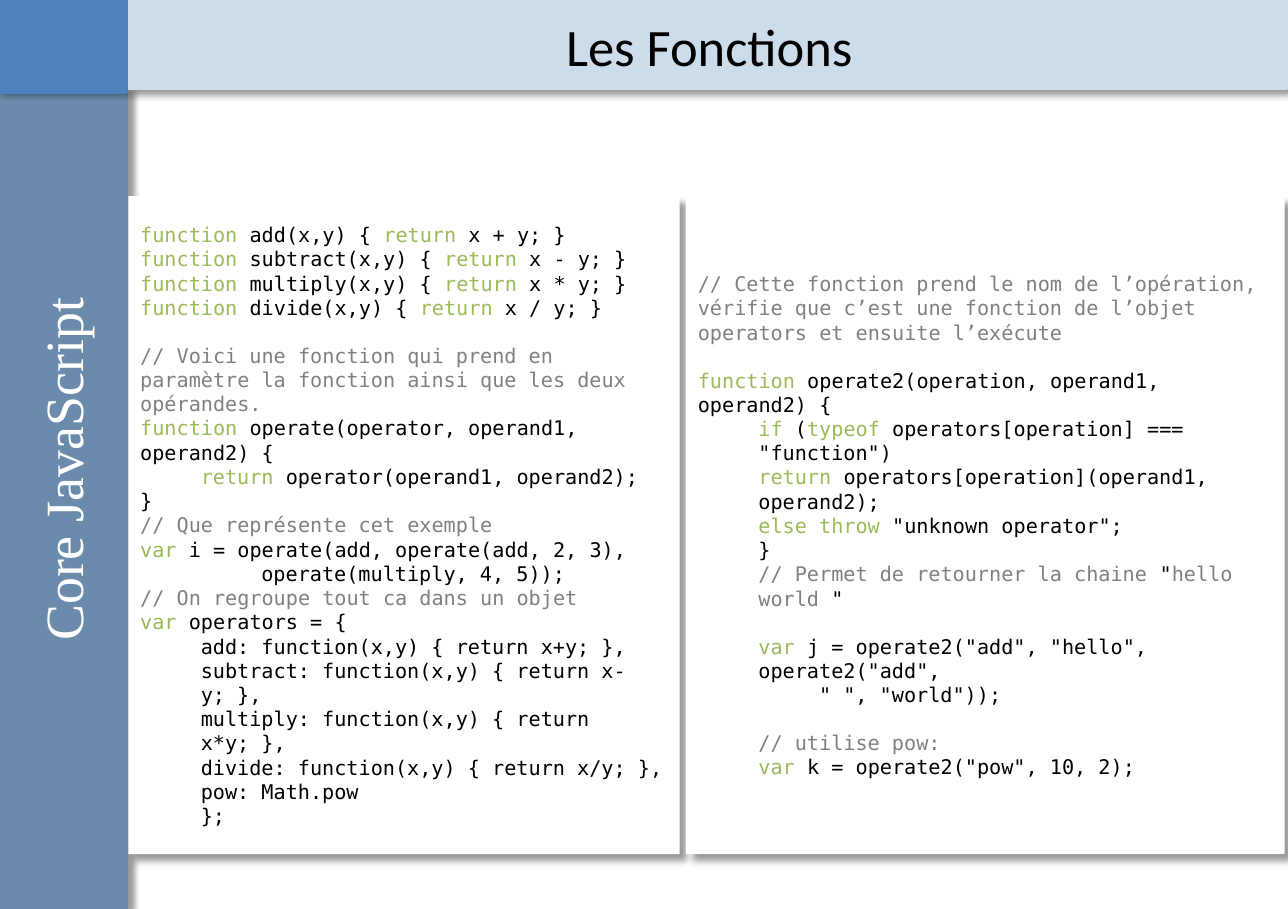
from lxml import etree
from pptx import Presentation
from pptx.dml.color import RGBColor
from pptx.enum.shapes import MSO_SHAPE
from pptx.enum.text import MSO_ANCHOR, MSO_AUTO_SIZE, PP_ALIGN
from pptx.oxml.ns import qn
from pptx.util import Cm, Pt

RECTANGLE = MSO_SHAPE.RECTANGLE
LEFT, CENTER = PP_ALIGN.LEFT, PP_ALIGN.CENTER
TOP, MIDDLE = MSO_ANCHOR.TOP, MSO_ANCHOR.MIDDLE
NO_AUTOFIT = MSO_AUTO_SIZE.NONE

BLACK = RGBColor(0x00, 0x00, 0x00)
WHITE = RGBColor(0xFF, 0xFF, 0xFF)
GREY = RGBColor(0x80, 0x80, 0x80)
GREEN = RGBColor(0x9B, 0xBB, 0x59)
STEEL = RGBColor(0x6A, 0x8B, 0xAB)
PALE_BLUE = RGBColor(0xCC, 0xDC, 0xEA)
BLUE = RGBColor(0x4F, 0x81, 0xBD)

# Backticks switch to the second colour of a line, four leading spaces
# indent it, and an empty line opens a gap above the next one.
OPERATORS_CODE = """\
`function `add(x,y) { `return` x + y; }
`function `subtract(x,y) { `return` x - y; }
`function `multiply(x,y) { `return` x * y; }
`function `divide(x,y) { `return` x / y; }

// Voici une fonction qui prend en paramètre la fonction ainsi que les deux opérandes.
`function `operate(operator, operand1, operand2) {
\t`return `operator(operand1, operand2);
}
// Que représente cet exemple
`var` i = operate(add, operate(add, 2, 3),
\t\toperate(multiply, 4, 5));
// On regroupe tout ca dans un objet
`var `operators = {
    add: function(x,y) { return x+y; },
    subtract: function(x,y) { return x-y; },
    multiply: function(x,y) { return x*y; },
    divide: function(x,y) { return x/y; },
    pow: Math.pow
    };"""

OPERATE2_CODE = """\
// Cette fonction prend le nom de l’opération, vérifie que c’est une fonction de l’objet operators et ensuite l’exécute

`function` operate2(operation, operand1, operand2) {
    `if` (`typeof `operators[operation] === \t"function")
    `return `operators[operation](operand1, \toperand2);
    `else throw `"unknown operator";
    }
    // Permet de retourner la chaine `"`hello world` "

    `var` j = operate2("add", "hello", operate2("add",
    \t" ", "world"));

    // utilise pow:
    `var` k = operate2("pow", 10, 2);"""


class SlideBuilder:
    title_font = "Calibri"
    side_font = "Times New Roman"
    code_font = "DejaVu Sans Mono"
    code_size = Pt(12)
    code_gap = Pt(14)
    code_indent = Cm(1.27)

    def __init__(self, slide):
        self.slide = slide

    def rectangle(self, box, fill, line=None, shadow=None):
        """Draw a rectangle; shadow is (distance in points, angle)."""
        shape = self.slide.shapes.add_shape(RECTANGLE, *map(Cm, box))
        shape.fill.solid()
        shape.fill.fore_color.rgb = fill
        if line is None:
            shape.line.fill.background()
        else:
            shape.line.color.rgb = line
            shape.line.width = Pt(2)
        shape.shadow.inherit = False
        if shadow:
            self.add_shadow(shape, *shadow)
        return shape

    def add_shadow(self, shape, distance, angle):
        effects = shape.element.spPr.find(qn("a:effectLst"))
        outer = etree.SubElement(
            effects, qn("a:outerShdw"), blurRad=str(Pt(4)),
            dist=str(Pt(distance)), dir=str(angle * 60000), rotWithShape="0")
        color = etree.SubElement(outer, qn("a:srgbClr"), val=str(BLACK))
        etree.SubElement(color, qn("a:alpha"), val="40000")

    def label(self, shape, text, font_name, size, color, anchor):
        frame = shape.text_frame
        frame.word_wrap = True
        frame.auto_size = NO_AUTOFIT
        frame.vertical_anchor = anchor
        paragraph = frame.paragraphs[0]
        paragraph.text = text
        paragraph.alignment = CENTER
        font = paragraph.font
        font.name, font.size, font.color.rgb = font_name, Pt(size), color

    def title(self, box, text, backdrop):
        title = self.slide.shapes.title
        title.left, title.top, title.width, title.height = map(Cm, box)
        self.label(title, text, self.title_font, 31.2, BLACK, MIDDLE)
        backdrop.element.addnext(title.element)

    def side_text(self, box, text):
        text_box = self.slide.shapes.add_textbox(*map(Cm, box))
        text_box.rotation = 270
        self.label(text_box, text, self.side_font, 32, WHITE, TOP)

    def code_panel(self, box, code):
        frame = self.rectangle(box, WHITE, shadow=(6, 45)).text_frame
        frame.word_wrap = True
        frame.vertical_anchor = MIDDLE
        paragraph, gap = None, False
        for line in code.split("\n"):
            if not line:
                gap = True
                continue
            paragraph = frame.add_paragraph() if paragraph else frame.paragraphs[0]
            self.code_line(paragraph, line, gap)
            gap = False

    def code_line(self, paragraph, line, gap):
        paragraph.alignment = LEFT
        if gap:
            paragraph.space_before = self.code_gap
        text = line.lstrip(" ")
        if text != line:
            paragraph.level = 1
            properties = paragraph._p.get_or_add_pPr()
            properties.set("marL", str(self.code_indent))
            properties.set("indent", "0")
        paragraph.font.name = self.code_font
        paragraph.font.size = self.code_size
        colors = (GREY, BLACK) if text.startswith("//") else (BLACK, GREEN)
        for index, part in enumerate(text.split("`")):
            if part:
                run = paragraph.add_run()
                run.text = part
                run.font.color.rgb = colors[index % 2]


def main():
    presentation = Presentation()
    presentation.slide_width = Cm(27)
    presentation.slide_height = Cm(19.05)
    title_only = presentation.slide_layouts[5]
    builder = SlideBuilder(presentation.slides.add_slide(title_only))

    # Side bar and header
    builder.rectangle((-0.03, 1.93, 2.67, 17.12), STEEL, STEEL, (3, 0))
    header = builder.rectangle((-0.03, -0.08, 27, 1.93), PALE_BLUE, PALE_BLUE, (3, 45))
    builder.side_text((-5.59, 9.02, 13.79, 1.63), "Core JavaScript")
    builder.title((3.07, 0.15, 23.6, 1.6), "Les Fonctions", header)
    builder.rectangle((-0.03, 0, 2.67, 1.93), BLUE, BLUE)

    # Code panels
    builder.code_panel((2.69, 4.11, 11.56, 13.79), OPERATORS_CODE)
    builder.code_panel((14.38, 4.11, 12.55, 13.79), OPERATE2_CODE)

    presentation.save("out.pptx")


if __name__ == "__main__":
    main()
